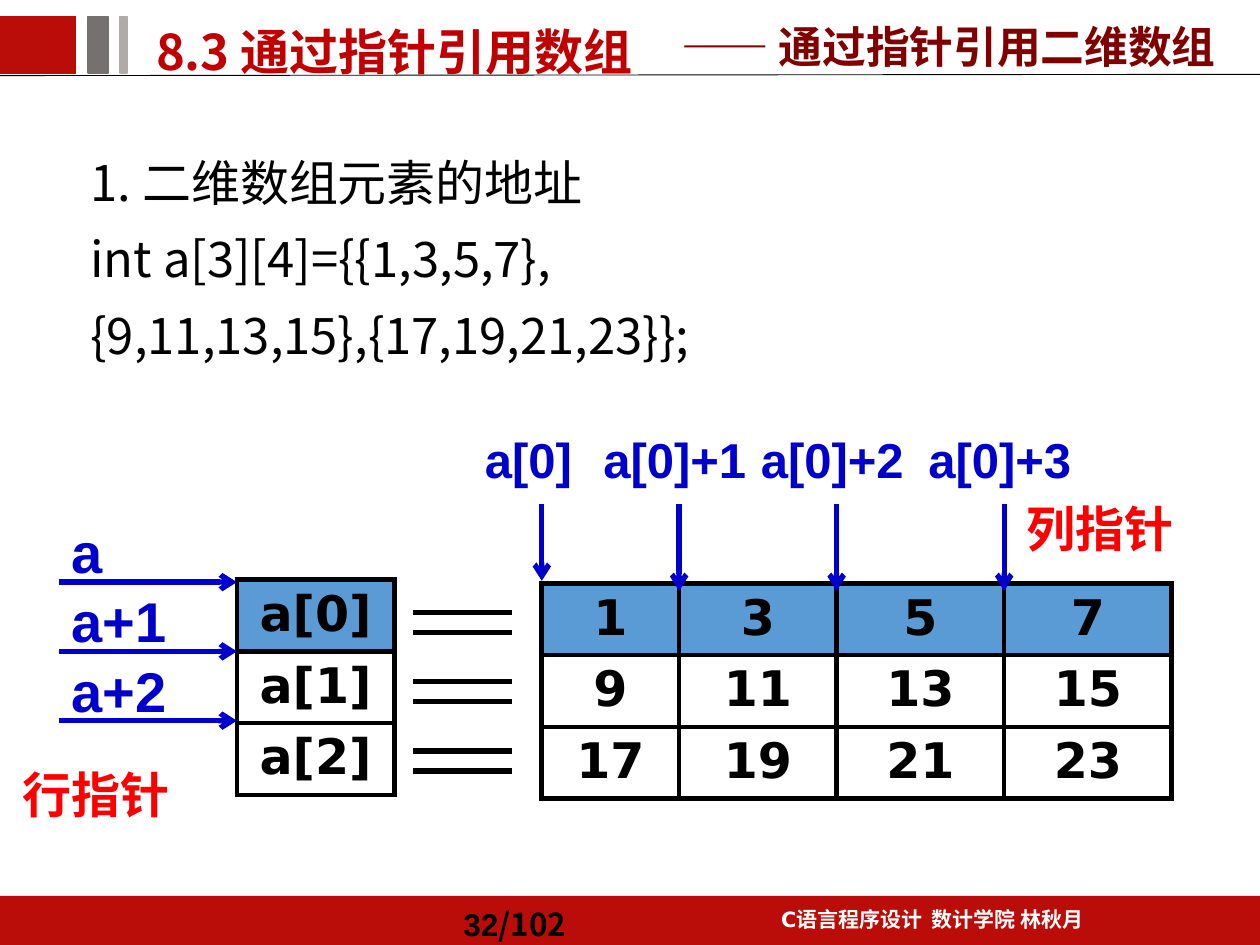
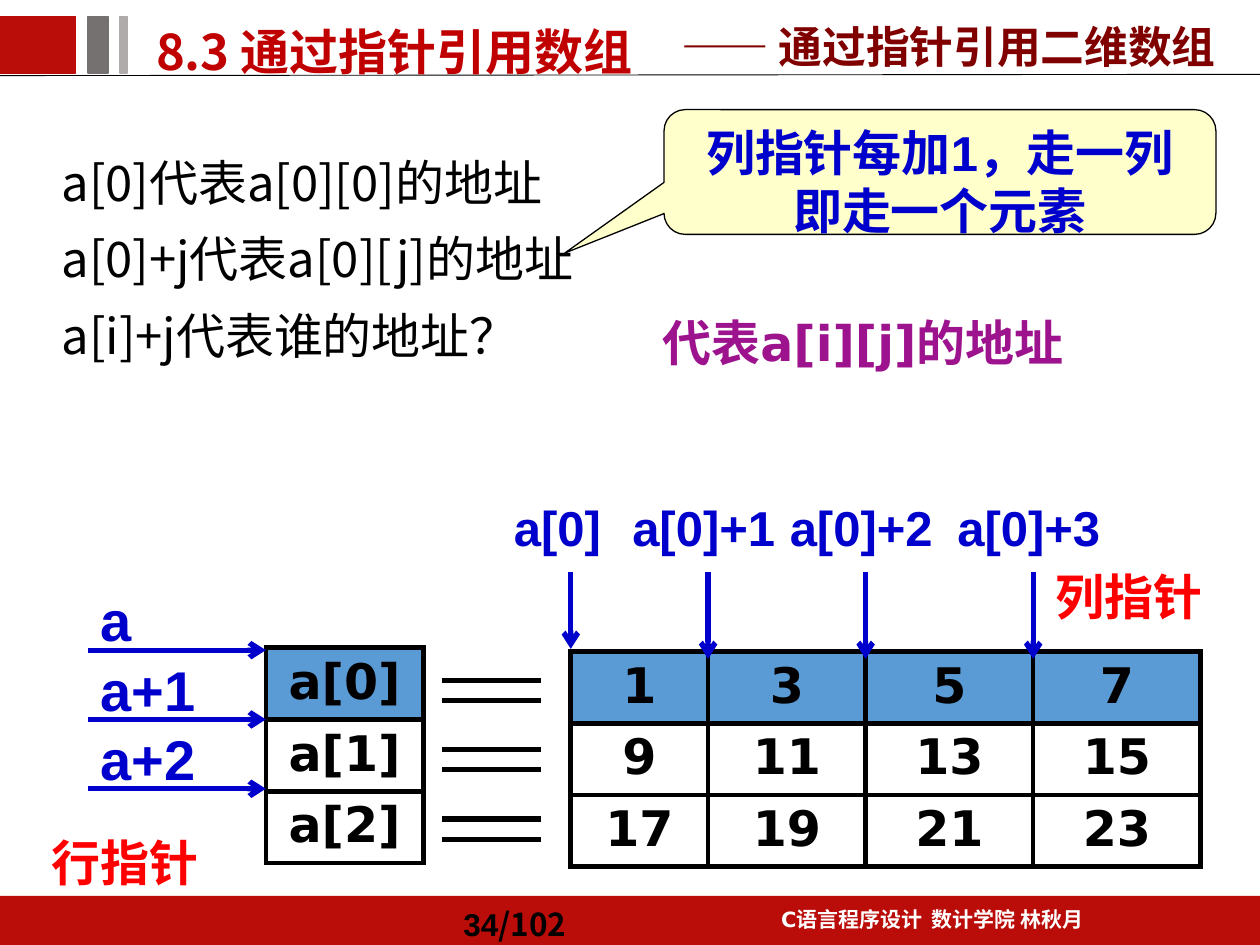
"""Build two slides on addressing a two-dimensional array through pointers."""
import dataclasses
import itertools
import typing

import pptx
import pptx.dml.color
import pptx.enum.shapes
import pptx.enum.text
import pptx.oxml
import pptx.oxml.ns
import pptx.util
from pptx.util import Inches

COLORS = {
    "band": "BA0D09", "dark_gray": "767171", "light_gray": "AFABAB",
    "title": "C00000", "subtitle": "800000", "black": "000000",
    "white": "FFFFFF", "pointer": "0000CC", "kind": "FF0000",
    "highlight": "5B9BD5", "callout": "FFFFCC", "answer": "9D138D",
}
CJK = "Noto Sans CJK SC"
DEJAVU = "DejaVu Sans"
ALIGN = pptx.enum.text.PP_ALIGN
ANCHOR = pptx.enum.text.MSO_ANCHOR
SHAPE = pptx.enum.shapes.MSO_SHAPE

ARRAY = [["1", "3", "5", "7"], ["9", "11", "13", "15"], ["17", "19", "21", "23"]]
COLUMN_WIDTHS = [1.09, 1.25, 1.33, 1.33]
ROW_HEIGHT = 0.57
ROW_STEP = 0.55


@dataclasses.dataclass(frozen=True)
class Style:
    size: float
    font: str
    color: str
    bold: bool = True


@dataclasses.dataclass(frozen=True)
class Box:
    left: float
    top: float
    width: float
    height: float

    def lengths(self) -> list[int]:
        return [Inches(value) for value in dataclasses.astuple(self)]


@dataclasses.dataclass(frozen=True)
class Block:
    box: Box
    fill: str
    outlined: bool = True


@dataclasses.dataclass(frozen=True)
class Line:
    text: str
    first_indent: float = 0


@dataclasses.dataclass(frozen=True)
class Lesson:
    number: str
    body_box: Box
    body: list[Line]
    diagram_left: float
    diagram_top: float


BODY = Style(28, CJK, "black", False)
CELL = Style(28, DEJAVU, "black")
ROW_POINTER = Style(32, "Arial", "pointer")
COLUMN_POINTER = Style(28, "Arial", "pointer")
POINTER_KIND = Style(28, "Arial", "kind")
TITLE = Style(28, CJK, "title")
SUBTITLE = Style(25, "Arial", "subtitle")
ANSWER = Style(28, DEJAVU, "answer")
PAGE_NUMBER = Style(18, "Arial", "black")
PAGE_TOTAL = Style(18, CJK, "black")
FOOTER_LATIN = Style(12, DEJAVU, "white")
FOOTER = Style(12, "Arial", "white")

BLOCKS = [
    Block(Box(0, 7.11, 10, 0.39), "band", False),
    Block(Box(0, 0.13, 0.6, 0.45), "band"),
    Block(Box(0.7, 0.13, 0.16, 0.45), "dark_gray"),
    Block(Box(0.95, 0.13, 0.06, 0.45), "light_gray"),
]
LESSONS = [
    Lesson("32", Box(0.62, 1.02, 8.83, 2.5), [
        Line("1. 二维数组元素的地址"),
        Line("int a[3][4]={{1,3,5,7},"),
        Line("{9,11,13,15},{17,19,21,23}};", 0.43),
    ], 0.47, 4.06),
    Lesson("34", Box(0.39, 1.02, 6.33, 2.81), [
        Line("a[0]代表a[0][0]的地址"),
        Line("a[0]+j代表a[0][j]的地址"),
        Line("a[i]+j代表谁的地址？"),
    ], 0.7, 4.6),
]


def rgb(name: str) -> pptx.dml.color.RGBColor:
    return pptx.dml.color.RGBColor.from_string(COLORS[name])


def apply(target: typing.Any, values: dict[str, typing.Any]) -> None:
    for name, value in values.items():
        setattr(target, name, value)


def element(xml: str) -> typing.Any:
    tag, separator, rest = xml.partition(" ")
    return pptx.oxml.parse_xml(f"<{tag} {pptx.oxml.ns.nsdecls('a')} {rest}")


def add_run(paragraph: typing.Any, text: str, style: Style) -> None:
    run = paragraph.add_run()
    run.text = text
    apply(run.font, {"size": pptx.util.Pt(style.size), "name": style.font, "bold": style.bold})
    run.font.color.rgb = rgb(style.color)
    run.font._element.append(element(f'a:ea typeface="{CJK}"/>'))


def add_text(slide: typing.Any, box: Box, runs: list[tuple[str, Style]],
             frame_format: dict[str, typing.Any] | None = None,
             paragraph_format: dict[str, typing.Any] | None = None) -> None:
    frame = slide.shapes.add_textbox(*box.lengths()).text_frame
    apply(frame, {"word_wrap": True} | (frame_format or {}))
    paragraph = frame.paragraphs[0]
    apply(paragraph, paragraph_format or {})
    for text, style in runs:
        add_run(paragraph, text, style)


def add_block(slide: typing.Any, block: Block) -> None:
    shape = slide.shapes.add_shape(SHAPE.RECTANGLE, *block.box.lengths())
    shape.shadow.inherit = False
    shape.fill.solid()
    shape.fill.fore_color.rgb = rgb(block.fill)
    if block.outlined:
        shape.line.color.rgb = rgb(block.fill)
        shape.line.width = pptx.util.Pt(1)
    else:
        shape.line.fill.background()


def add_line(slide: typing.Any, start: tuple[float, float], end: tuple[float, float],
             color: str = "black", width: float = 3, arrow: bool = False) -> None:
    connector = slide.shapes.add_connector(
        pptx.enum.shapes.MSO_CONNECTOR.STRAIGHT, *map(Inches, start + end))
    connector.line.color.rgb = rgb(color)
    connector.line.width = pptx.util.Pt(width)
    if arrow:
        connector.line._get_or_add_ln().append(element('a:tailEnd type="arrow"/>'))
    connector._element.spPr.append(element("a:effectLst />"))


def add_grid(slide: typing.Any, left: float, top: float,
             widths: list[float], rows: list[list[str]]) -> None:
    box = Box(left, top, sum(widths), ROW_HEIGHT * len(rows))
    table = slide.shapes.add_table(len(rows), len(widths), *box.lengths()).table
    apply(table, {"first_row": False, "horz_banding": False})
    for column, width in zip(table.columns, widths):
        column.width = Inches(width)
    for index, values in enumerate(rows):
        table.rows[index].height = Inches(ROW_HEIGHT)
        for column_index, value in enumerate(values):
            cell = table.cell(index, column_index)
            properties = cell._tc.get_or_add_tcPr()
            for side in "LRTB":
                properties.append(element(
                    f'a:ln{side} w="{pptx.util.Pt(3)}"><a:solidFill><a:srgbClr '
                    f'val="{COLORS["black"]}"/></a:solidFill></a:ln{side}>'))
            cell.fill.solid()
            cell.fill.fore_color.rgb = rgb("white" if index else "highlight")
            paragraph = cell.text_frame.paragraphs[0]
            paragraph.alignment = ALIGN.CENTER
            add_run(paragraph, value, CELL)


def add_frame(slide: typing.Any, number: str) -> None:
    for block in BLOCKS:
        add_block(slide, block)
    add_line(slide, (0, 0.6), (10, 0.59), width=0.5)
    add_text(slide, Box(5.63, 7.11, 3.54, 0.34),
             [("C", FOOTER_LATIN), ("语言程序设计  数计学院 林秋月", FOOTER)],
             paragraph_format={"alignment": ALIGN.CENTER, "line_spacing": 1.2})
    add_text(slide, Box(3.58, 7.11, 1.42, 0.39),
             [(number, PAGE_NUMBER), ("/102", PAGE_TOTAL)],
             {"vertical_anchor": ANCHOR.MIDDLE}, {"line_spacing": 1.2})
    add_text(slide, Box(1.14, 0.03, 5.55, 0.67), [("8.3 通过指针引用数组", TITLE)],
             paragraph_format={"line_spacing": 1.2})
    add_text(slide, Box(5.31, 0.1, 4.69, 0.52), [("—— 通过指针引用二维数组", SUBTITLE)],
             {"vertical_anchor": ANCHOR.BOTTOM})


def add_body(slide: typing.Any, lesson: Lesson) -> None:
    frame = slide.shapes.add_textbox(*lesson.body_box.lengths()).text_frame
    frame.word_wrap = True
    for index, line in enumerate(lesson.body):
        paragraph = frame.add_paragraph() if index else frame.paragraphs[0]
        paragraph.line_spacing = 1.3
        apply(paragraph._p.get_or_add_pPr(),
              {"marL": Inches(0.19), "indent": Inches(line.first_indent - 0.19)})
        add_run(paragraph, line.text, BODY)


def add_diagram(slide: typing.Any, left: float, top: float) -> None:
    array_left, array_top = left + 3.83, top + 0.57
    rows_left = left + 1.41
    add_grid(slide, array_left, array_top, COLUMN_WIDTHS, ARRAY)
    add_grid(slide, rows_left, top + 0.54, [1.25], [[f"a[{row}]"] for row in range(3)])
    for row, label in enumerate(["a", "a+1", "a+2"]):
        label_top = top + row * ROW_STEP
        for offset in (0.8, 0.96):
            add_line(slide, (left + 2.81, label_top + offset), (left + 3.59, label_top + offset))
        add_text(slide, Box(left, label_top, 1.25, 0.64), [(label, ROW_POINTER)])
        arrow_y = label_top + 0.56
        add_line(slide, (left, arrow_y), (rows_left, arrow_y), "pointer", arrow=True)
    column_lefts = itertools.accumulate(COLUMN_WIDTHS[:-1], initial=array_left)
    for column, arrow_x in enumerate(column_lefts):
        label = f"a[0]+{column}" if column else "a[0]"
        label_left = arrow_x - (0.7 if column else 0.55)
        arrow_end = array_top + (0.06 if column else -0.02)
        add_text(slide, Box(label_left, top - 0.7, 1.8, 0.57), [(label, COLUMN_POINTER)])
        add_line(slide, (arrow_x, top - 0.06), (arrow_x, arrow_end), "pointer", arrow=True)
    add_text(slide, Box(left - 0.39, top + 1.96, 1.48, 0.57), [("行指针", POINTER_KIND)])
    add_text(slide, Box(left + 7.58, top - 0.15, 1.48, 0.57), [("列指针", POINTER_KIND)])


def add_callout(slide: typing.Any) -> None:
    box = Box(5.27, 0.87, 4.38, 0.99)
    shape = slide.shapes.add_shape(SHAPE.ROUNDED_RECTANGULAR_CALLOUT, *box.lengths())
    shape.shadow.inherit = False
    for index, value in enumerate((-0.68, 0.65, 0.17)):
        shape.adjustments[index] = value
    shape.fill.solid()
    shape.fill.fore_color.rgb = rgb("callout")
    shape.line.color.rgb = rgb("black")
    shape.line.width = pptx.util.Pt(0.75)
    frame = shape.text_frame
    apply(frame, {"word_wrap": True, "vertical_anchor": ANCHOR.TOP})
    for index, text in enumerate(["列指针每加1，走一列", "即走一个元素"]):
        paragraph = frame.add_paragraph() if index else frame.paragraphs[0]
        paragraph.alignment = ALIGN.CENTER
        add_run(paragraph, text, COLUMN_POINTER)


def main() -> None:
    presentation = pptx.Presentation()
    apply(presentation, {"slide_width": Inches(10), "slide_height": Inches(7.5)})
    for lesson in LESSONS:
        slide = presentation.slides.add_slide(presentation.slide_layouts[6])
        add_frame(slide, lesson.number)
        add_body(slide, lesson)
        add_diagram(slide, lesson.diagram_left, lesson.diagram_top)
    add_callout(slide)
    add_text(slide, Box(5.16, 2.34, 3.75, 0.78), [("代表a[i][j]的地址", ANSWER)],
             paragraph_format={"line_spacing": 1.2})
    presentation.save("out.pptx")


if __name__ == "__main__":
    main()
